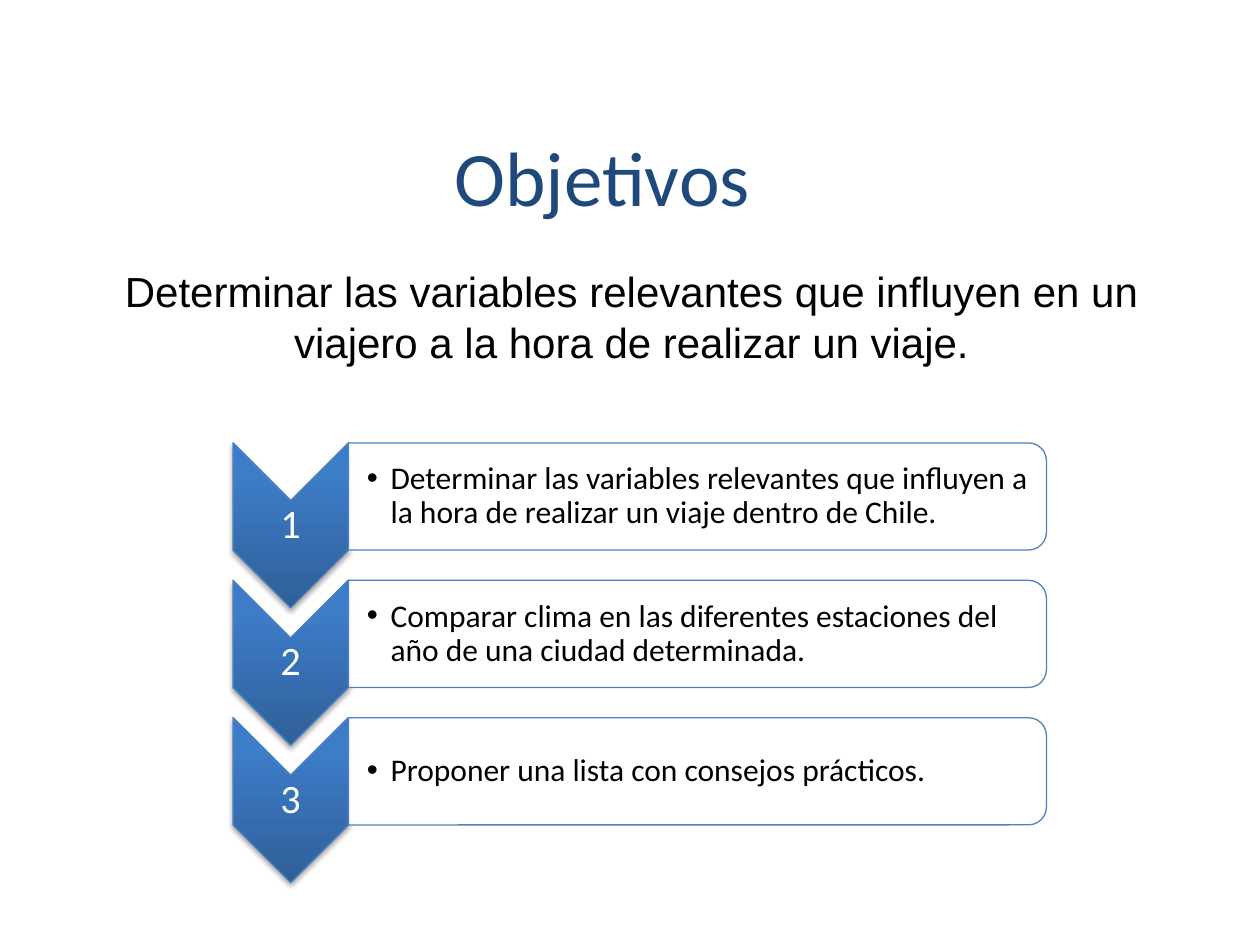
import pptx
import pptx.util
import pptx.dml.color
import pptx.enum.shapes
import pptx.enum.text
import pptx.oxml
import pptx.oxml.ns

Cm = pptx.util.Cm
Pt = pptx.util.Pt
SHAPE = pptx.enum.shapes.MSO_SHAPE
ALIGN = pptx.enum.text.PP_ALIGN
ANCHOR = pptx.enum.text.MSO_ANCHOR

HEADING = "Objetivos"
GENERAL_GOAL = ("Determinar las variables relevantes que influyen en un viajero "
                "a la hora de realizar un viaje.")
SPECIFIC_GOALS = [
    "Determinar las variables relevantes que influyen a la hora de realizar un viaje dentro de Chile.",
    "Comparar clima en las diferentes estaciones del año de una ciudad determinada.",
    "Proponer una lista con consejos prácticos.",
]

BLUE = "4F81BD"
GRADIENT = [(0, "2F5F99"), (80, "3D7CC7"), (100, "3A7CCB")]
ROW_STEP = 2.77
CHEVRON_X, CHEVRON_Y = 5.86, 10.59
BAR_X, BAR_Y = 14.06, 10.01

HEADING_FONT = {"name": "Calibri", "size": Pt(44)}
GENERAL_FONT = {"name": "Arial", "size": Pt(24)}
NUMBER_FONT = {"name": "Calibri", "size": Pt(23)}
GOAL_FONT = {"name": "Calibri", "size": Pt(18)}
NUMBER_FRAME = {"margin_left": Cm(0.05), "margin_right": Cm(0.05),
                "margin_top": Cm(0.05), "margin_bottom": Cm(0.05),
                "vertical_anchor": ANCHOR.MIDDLE}
GOAL_FRAME = {"margin_left": Cm(0.36), "margin_right": Cm(0.03),
              "margin_top": Cm(0.03), "margin_bottom": Cm(0.03),
              "vertical_anchor": ANCHOR.MIDDLE}


def rgb(value):
    return pptx.dml.color.RGBColor.from_string(value)


def apply(target, values):
    for key, value in values.items():
        setattr(target, key, value)


def xml(tag, attributes="", inner=""):
    return f"<a:{tag} {attributes}>{inner}</a:{tag}>"


def element(tag, attributes="", inner=""):
    namespace = pptx.oxml.ns.nsdecls("a")
    return pptx.oxml.parse_xml(xml(tag, f"{namespace} {attributes}", inner))


def centred(x, y, width, height):
    return Cm(x - width / 2), Cm(y - height / 2), Cm(width), Cm(height)


def write(frame, text, font, colour, paragraph_format, frame_format):
    apply(frame, {"word_wrap": True, **frame_format})
    paragraph = frame.paragraphs[0]
    apply(paragraph, paragraph_format)
    run = paragraph.add_run()
    run.text = text
    apply(run.font, font)
    run.font.color.rgb = rgb(colour)
    return paragraph


def add_turned(slide, preset, box):
    shape = slide.shapes.add_shape(preset, *box)
    shape.rotation = 90
    shape.shadow.inherit = False
    shape.line.color.rgb = rgb(BLUE)
    shape.line.width = Pt(0.75)
    shape.fill.solid()
    shape.fill.fore_color.rgb = rgb("FFFFFF")
    return shape


def add_chevron(slide, y):
    properties = add_turned(slide, SHAPE.CHEVRON, centred(CHEVRON_X, y, 3.33, 2.33))._element.spPr
    stops = "".join(xml("gs", f'pos="{position * 1000}"', xml("srgbClr", f'val="{colour}"'))
                    for position, colour in GRADIENT)
    gradient = element("gradFill", 'rotWithShape="0"',
                       xml("gsLst", "", stops) + xml("lin", 'ang="16200000" scaled="0"'))
    properties.replace(properties.find(pptx.oxml.ns.qn("a:solidFill")), gradient)
    shade = xml("srgbClr", 'val="000000"', xml("alpha", 'val="35000"'))
    shadow = xml("outerShdw", 'blurRad="40000" dist="23000" dir="5400000" rotWithShape="0"', shade)
    effects = properties.find(pptx.oxml.ns.qn("a:effectLst"))
    properties.replace(effects, element("effectLst", "", shadow))


def add_bar(slide, y):
    bar = add_turned(slide, SHAPE.ROUND_2_SAME_RECTANGLE, centred(BAR_X, y, 2.16, 14.07))
    colour = bar._element.spPr.find(pptx.oxml.ns.qn("a:solidFill"))[0]
    colour.append(element("alpha", 'val="90000"'))


def add_goal(slide, index, goal):
    shift = index * ROW_STEP
    add_chevron(slide, CHEVRON_Y + shift)
    number = slide.shapes.add_textbox(*centred(CHEVRON_X, CHEVRON_Y + shift, 2.33, 1))
    write(number.text_frame, str(index + 1), NUMBER_FONT, "FFFFFF",
          {"alignment": ALIGN.CENTER, "line_spacing": 0.9}, NUMBER_FRAME)
    add_bar(slide, BAR_Y + shift)
    detail = slide.shapes.add_textbox(*centred(BAR_X - 0.04, BAR_Y + shift, 13.97, 1.96))
    paragraph = write(detail.text_frame, goal, GOAL_FONT, "000000",
                      {"level": 1, "line_spacing": 0.9}, GOAL_FRAME)
    properties = paragraph._p.get_or_add_pPr()
    properties.set("marL", str(Cm(0.48)))
    properties.set("indent", str(-Cm(0.48)))
    properties.append(element("buFont", 'typeface="Arial"'))
    properties.append(element("buChar", 'char="•"'))


def main():
    deck = pptx.Presentation()
    apply(deck, {"slide_width": Cm(25.4), "slide_height": Cm(19.05)})
    slide = deck.slides.add_slide(deck.slide_layouts[5])

    heading = slide.shapes.title
    apply(heading, {"left": Cm(0.71), "top": Cm(1.96), "width": Cm(22.86), "height": Cm(3.18)})
    write(heading.text_frame, HEADING, HEADING_FONT, "1F497D",
          {"alignment": ALIGN.CENTER}, {"vertical_anchor": ANCHOR.MIDDLE})

    for index, goal in enumerate(SPECIFIC_GOALS):
        add_goal(slide, index, goal)

    general = slide.shapes.add_textbox(Cm(1.3), Cm(5.23), Cm(22.86), Cm(2.49))
    write(general.text_frame, GENERAL_GOAL, GENERAL_FONT, "000000",
          {"alignment": ALIGN.CENTER, "space_before": Pt(4.8)}, {})
    deck.save("out.pptx")


if __name__ == "__main__":
    main()
